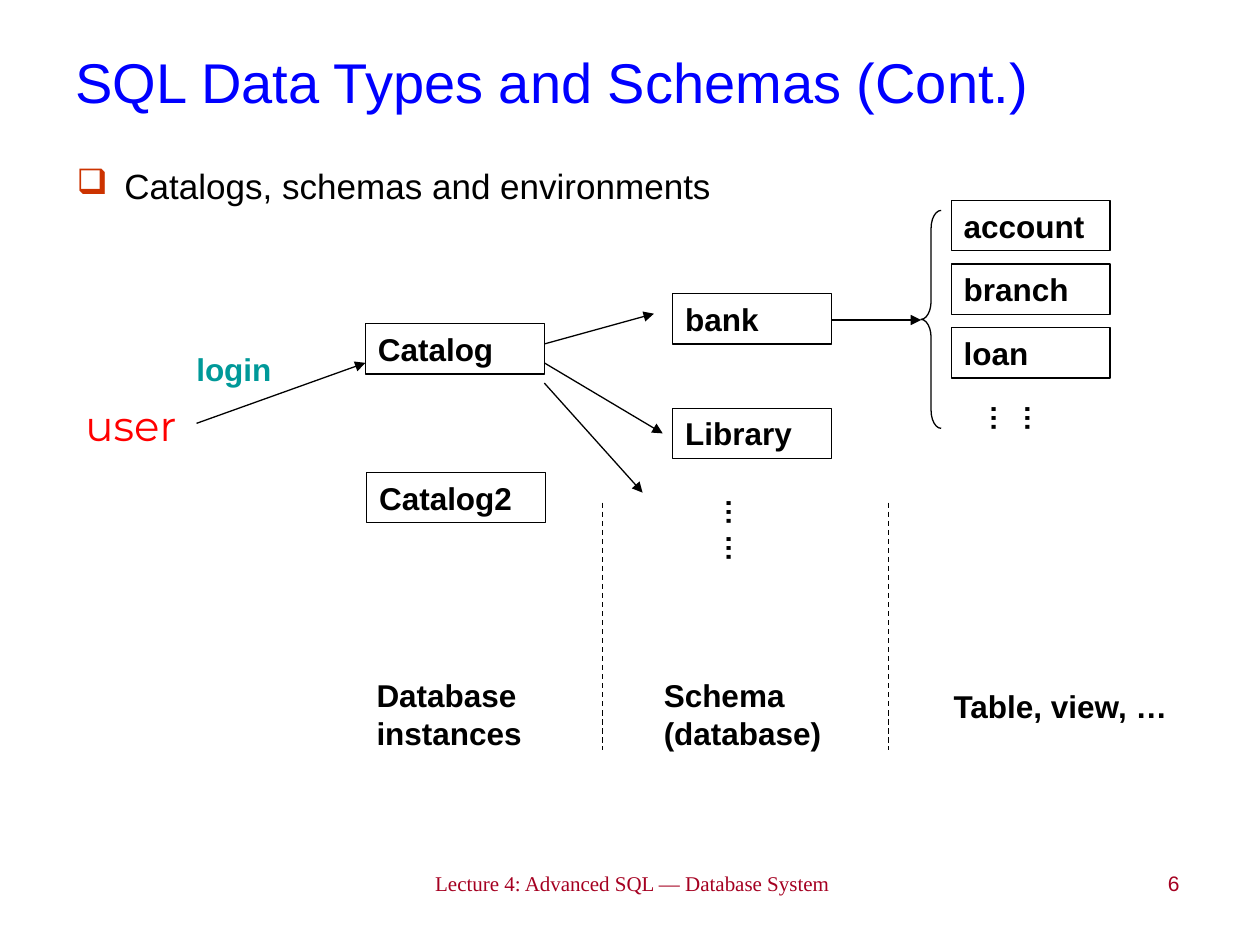
from dataclasses import dataclass
from typing import Any

from lxml import etree
from pptx import Presentation
from pptx import util as u
from pptx.dml.color import RGBColor
from pptx.enum import dml, shapes, text
from pptx.oxml.ns import qn

COLUMNS, ROWS = 100, 75
LABEL = {"name": "Arial", "size": u.Pt(18), "bold": True}
DOTS = {**LABEL, "size": u.Pt(16)}
PLAIN = {"name": "Arial", "size": u.Pt(20), "bold": False}
TITLE = {**PLAIN, "size": u.Pt(32)}
USER = {**PLAIN, "name": "Montserrat", "size": u.Pt(24)}
NUMBER = {**PLAIN, "size": u.Pt(12)}
FOOTER = {**NUMBER, "name": "Times New Roman"}


def color(value):
    """Turn a hex string into a colour."""
    return RGBColor.from_string(value)


def assign(target, values):
    """Set every attribute named in a dict of values."""
    for name, value in values.items():
        setattr(target, name, value)


@dataclass
class Diagram:
    """Hold the current slide, its grid and its line style."""

    deck: Any
    page: Any
    ink: str = "000000"
    stroke: float = 0.75

    def grid(self, *lengths):
        """Convert alternating columns and rows to slide lengths."""
        units = (self.deck.slide_width / COLUMNS, self.deck.slide_height / ROWS)
        return [round(length * units[i % 2]) for i, length in enumerate(lengths)]

    def outline(self, line):
        """Give a line the common colour and width."""
        line.color.rgb = color(self.ink)
        line.width = u.Pt(self.stroke)

    def put_words(self, item, words, font, ink=None, align=text.PP_ALIGN.LEFT,
                  anchor=text.MSO_ANCHOR.TOP):
        """Put one formatted paragraph into a shape."""
        frame = item.text_frame
        assign(frame, {"word_wrap": True, "vertical_anchor": anchor})
        para = frame.paragraphs[0]
        para.alignment = align
        span = para.add_run()
        span.text = words
        assign(span.font, font)
        span.font.color.rgb = color(ink or self.ink)
        return para

    def title(self, words, place, ink):
        """Move and fill the title placeholder."""
        item = self.page.shapes.title
        assign(item, dict(zip(("left", "top", "width", "height"), self.grid(*place))))
        self.put_words(item, words, TITLE, ink, anchor=text.MSO_ANCHOR.MIDDLE)

    def label(self, words, place, font=LABEL, **style):
        """Add a text box and return its paragraph."""
        item = self.page.shapes.add_textbox(*self.grid(*place))
        return self.put_words(item, words, font, **style)

    def bullet(self, words, place, mark, ink):
        """Add a line of text with a coloured bullet."""
        properties = self.label(words, place, PLAIN)._p.get_or_add_pPr()
        indent = u.Inches(0.38)
        properties.set("marL", str(indent))
        properties.set("indent", str(-indent))
        tint = etree.SubElement(properties, qn("a:buClr"))
        etree.SubElement(tint, qn("a:srgbClr"), val=ink)
        etree.SubElement(properties, qn("a:buChar"), char=mark)

    def dots(self, place):
        """Add a vertical pair of ellipses."""
        item = self.page.shapes.add_textbox(*self.grid(*place))
        self.put_words(item, "… …", DOTS)
        frame = item.text_frame
        assign(frame, {"margin_left": u.Inches(0.05), "margin_right": u.Inches(0.05),
                       "margin_top": u.Inches(0.1), "margin_bottom": u.Inches(0.1)})
        frame._txBody.bodyPr.set("vert", "eaVert")

    def shape(self, kind, place):
        """Add an unfilled outlined preset shape."""
        item = self.page.shapes.add_shape(kind, *self.grid(*place))
        item.shadow.inherit = False
        item.fill.background()
        self.outline(item.line)
        return item

    def box(self, words, left, top, width):
        """Add a named box one text line high."""
        item = self.shape(shapes.MSO_SHAPE.RECTANGLE, (left, top, width, 4))
        self.put_words(item, words, LABEL)

    def brace(self, place):
        """Add a left brace with rounded ends."""
        item = self.shape(shapes.MSO_SHAPE.LEFT_BRACE, place)
        item.adjustments[0] = 0.9

    def line(self, ends, dashed=False):
        """Add a dashed divider or a solid arrow."""
        item = self.page.shapes.add_connector(shapes.MSO_CONNECTOR.STRAIGHT, *self.grid(*ends))
        self.outline(item.line)
        if dashed:
            item.line.dash_style = dml.MSO_LINE.DASH
        else:
            etree.SubElement(item.line._get_or_add_ln(), qn("a:tailEnd"), type="triangle")
        etree.SubElement(item._element.spPr, qn("a:effectLst"))


def main():
    """Build the slide on catalogs, schemas and tables."""
    deck = Presentation()
    assign(deck, {"slide_width": u.Inches(10), "slide_height": u.Inches(7.5)})
    diagram = Diagram(deck, deck.slides.add_slide(deck.slide_layouts[5]))
    diagram.title("SQL Data Types and Schemas (Cont.)", (5, 0.2, 90, 12.5), "0000FF")
    diagram.bullet("Catalogs, schemas and environments", (5.1, 12.6, 90, 5), "❑", "CC3300")

    for words, left, top, width in (("Catalog", 29, 25.7, 14.2), ("Catalog2", 29.1, 37.5, 14.2),
                                    ("bank", 53.4, 23.3, 12.6), ("Library", 53.4, 32.4, 12.6)):
        diagram.box(words, left, top, width)
    for row, words in enumerate(("account", "branch", "loan")):
        diagram.box(words, 75.5, 15.9 + 5.05 * row, 12.6)
    diagram.brace((73.1, 16.7, 1.6, 17.3))
    for place in ((55.8, 38.6, 4.6, 7.1), (79.5, 31.1, 4.6, 6.2)):
        diagram.dots(place)

    for ends in ((15.6, 33.6, 29, 28.8), (43.2, 27.3, 51.9, 24.9), (43.2, 28.8, 52.6, 34.4),
                 (43.2, 30.4, 51, 39.1), (66, 25.4, 73.1, 25.4)):
        diagram.line(ends)
    for column in (47.8, 70.5):
        diagram.line((column, 39.9, column, 59.5), dashed=True)

    diagram.label("user", (5.8, 31.2, 11, 5), USER, ink="FF0000")
    diagram.label("login", (14.6, 27.3, 11, 4), ink="009999")
    for words, place in (("Database instances", (28.9, 53.2, 13.6, 7)),
                         ("Schema (database)", (51.7, 53.2, 15.7, 7)),
                         ("Table, view, …", (74.7, 54, 20.4, 4))):
        diagram.label(words, place)
    diagram.label("Lecture 4: Advanced SQL — Database System", (23.1, 68.6, 54.2, 4.5), FOOTER,
                  ink="A50021", align=text.PP_ALIGN.CENTER)
    diagram.label("6", (80.4, 68.6, 14.2, 4.4), NUMBER, ink="A50021", align=text.PP_ALIGN.RIGHT)
    deck.save("out.pptx")


if __name__ == "__main__":
    main()
